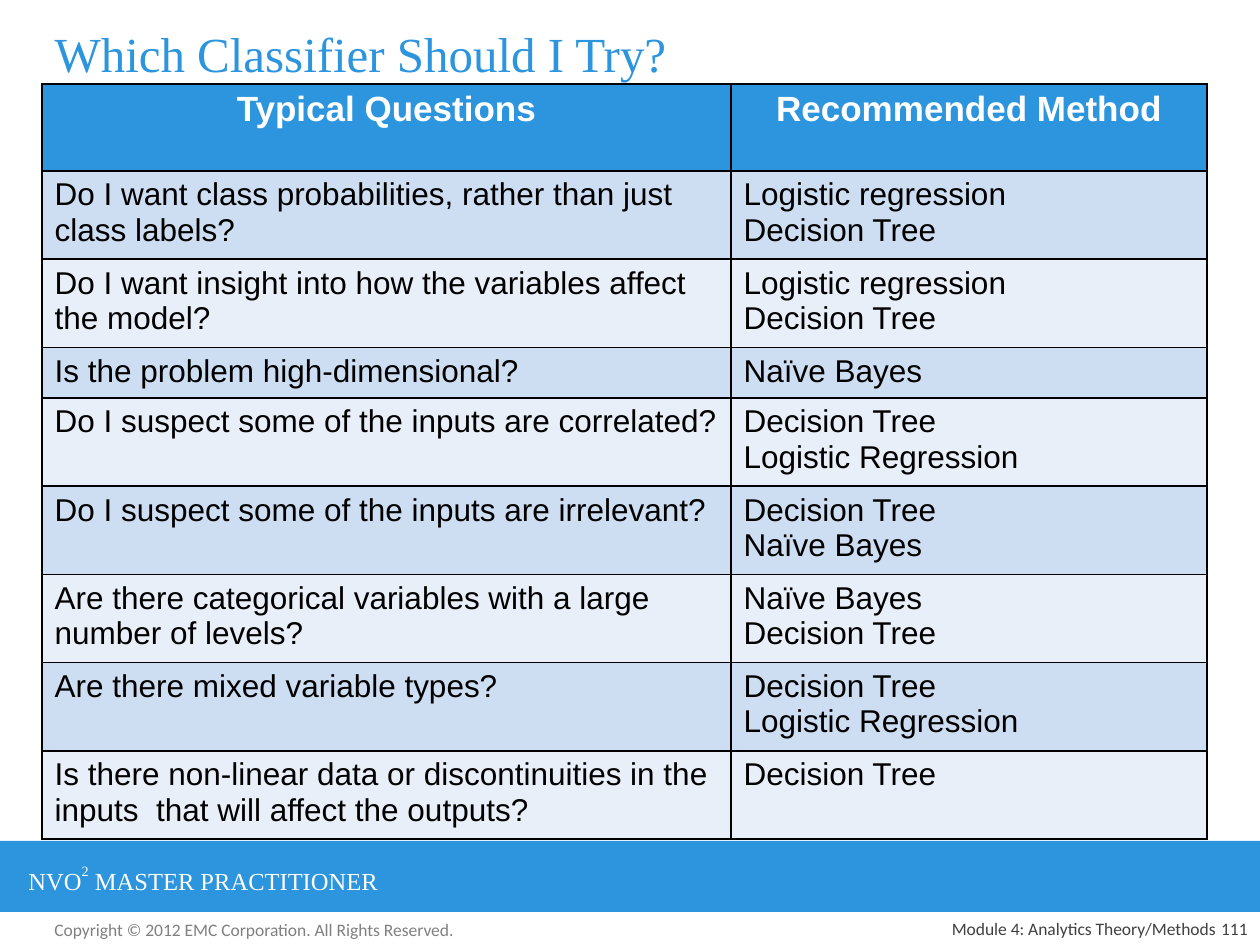
from lxml import etree
from pptx import Presentation
from pptx.dml.color import RGBColor
from pptx.enum.shapes import MSO_SHAPE
from pptx.enum.text import MSO_ANCHOR, MSO_AUTO_SIZE, PP_ALIGN
from pptx.oxml.ns import qn
from pptx.util import Pt

LEFT, CENTER, RIGHT = PP_ALIGN.LEFT, PP_ALIGN.CENTER, PP_ALIGN.RIGHT
TOP, MIDDLE, BOTTOM = MSO_ANCHOR.TOP, MSO_ANCHOR.MIDDLE, MSO_ANCHOR.BOTTOM
TITLE_ONLY = 5

# Content
TITLE = "Which Classifier Should I Try?"
HEADER = ("Typical Questions", ["Recommended Method"])
QUESTIONS = [
    ("Do I want class probabilities, rather than just class labels?",
     ["Logistic regression", "Decision Tree"]),
    ("Do I want insight into how the variables affect the model?",
     ["Logistic regression", "Decision Tree"]),
    ("Is the problem high-dimensional?", ["Naïve Bayes"]),
    ("Do I suspect some of the inputs are correlated?",
     ["Decision Tree", "Logistic Regression"]),
    ("Do I suspect some of the inputs are irrelevant?",
     ["Decision Tree", "Naïve Bayes"]),
    ("Are there categorical variables with a large number of levels?",
     ["Naïve Bayes", "Decision Tree"]),
    ("Are there mixed variable types?",
     ["Decision Tree", "Logistic Regression"]),
    ("Is there non-linear data or discontinuities in the inputs  that will "
     "affect the outputs?", ["Decision Tree"]),
]
BRAND = [("NVO", None), ("2", 56), (" MASTER PRACTITIONER", None)]
COPYRIGHT = "Copyright © 2012 EMC Corporation. All Rights Reserved."
MODULE = "Module 4: Analytics Theory/Methods"
PAGE = "111"

COLORS = {"blue": "2C95DD", "white": "FFFFFF", "black": "000000",
          "band_dark": "CDDDF2", "band_light": "E8EFF9",
          "gray": "808080", "dark_gray": "404040"}

# Layout in px
SLIDE_W, SLIDE_H = 1260, 945
COLS = (689, 476)
ROW_H, SHORT_ROW_H = 88, 50
SHORT_ROW = 3


def px(n):
    return round(n * 914400 / 126)


def rgb(name):
    return RGBColor.from_string(COLORS[name])


def write(tf, lines, size=18, font="Arial", color="black", bold=False,
          align=LEFT, anchor=TOP, wrap=True):
    """Each line is a string or a list of (text, superscript percent) runs."""
    tf.word_wrap = wrap
    tf.vertical_anchor = anchor
    for i, line in enumerate(lines):
        p = tf.paragraphs[0] if i == 0 else tf.add_paragraph()
        p.alignment = align
        for text, raised in ([(line, None)] if isinstance(line, str) else line):
            r = p.add_run()
            r.text = text
            r.font.size, r.font.name, r.font.bold = Pt(size), font, bold
            r.font.color.rgb = rgb(color)
            if raised:
                r._r.get_or_add_rPr().set("baseline", str(raised * 1000))


def add_text(s, box, lines, **fmt):
    sp = s.shapes.add_textbox(*map(px, box))
    write(sp.text_frame, lines, **fmt)


def add_borders(cell, color="black", width=1):
    tcPr = cell._tc.get_or_add_tcPr()
    for side in ("a:lnL", "a:lnR", "a:lnT", "a:lnB"):
        ln = etree.SubElement(tcPr, qn(side), w=str(Pt(width)))
        fill = etree.SubElement(ln, qn("a:solidFill"))
        etree.SubElement(fill, qn("a:srgbClr"), val=COLORS[color])


def add_table(s):
    rows = [HEADER] + QUESTIONS
    heights = [SHORT_ROW_H if i == SHORT_ROW else ROW_H
               for i in range(len(rows))]
    heights[0] = ROW_H - 1
    table = s.shapes.add_table(len(rows), len(COLS), px(42), px(84),
                               px(sum(COLS)), px(sum(heights))).table
    for col, width in zip(table.columns, COLS):
        col.width = px(width)
    for i, (question, methods) in enumerate(rows):
        table.rows[i].height = px(heights[i])
        if i == 0:
            fill = "blue"
            fmt = dict(size=20, color="white", bold=True, align=CENTER)
        else:
            fill = "band_dark" if i % 2 else "band_light"
            fmt = {}
        for j, lines in enumerate(([question], methods)):
            cell = table.cell(i, j)
            add_borders(cell)
            cell.fill.solid()
            cell.fill.fore_color.rgb = rgb(fill)
            write(cell.text_frame, lines, **fmt)


def main():
    prs = Presentation()
    prs.slide_width, prs.slide_height = px(SLIDE_W), px(SLIDE_H)
    s = prs.slides.add_slide(prs.slide_layouts[TITLE_ONLY])

    # Title
    title = s.shapes.title
    title.left, title.top, title.width, title.height = map(
        px, (42, 0, 1165, 105))
    title.text_frame.auto_size = MSO_AUTO_SIZE.NONE
    write(title.text_frame, [TITLE], size=28, font="Times New Roman",
          color="blue", anchor=MIDDLE)

    # Footer band
    band = s.shapes.add_shape(MSO_SHAPE.RECTANGLE,
                              *map(px, (0, 841, SLIDE_W, 71)))
    band.shadow.inherit = False
    band.fill.solid()
    band.fill.fore_color.rgb = rgb("blue")
    band.line.fill.background()
    add_text(s, (16, 856, 466, 43), [BRAND], size=14, font="Times New Roman",
             color="white", wrap=False)

    # Questions and methods
    add_table(s)

    # Footer line
    small = dict(size=10, font="Calibri")
    add_text(s, (42, 913, 431, 34), [COPYRIGHT], color="gray", wrap=False,
             **small)
    for text, box in ((MODULE, (651, 913, 577, 32)),
                      (PAGE, (1197, 913, 63, 32))):
        add_text(s, box, [text], color="dark_gray", align=RIGHT,
                 anchor=BOTTOM, **small)

    prs.save("out.pptx")


if __name__ == "__main__":
    main()
